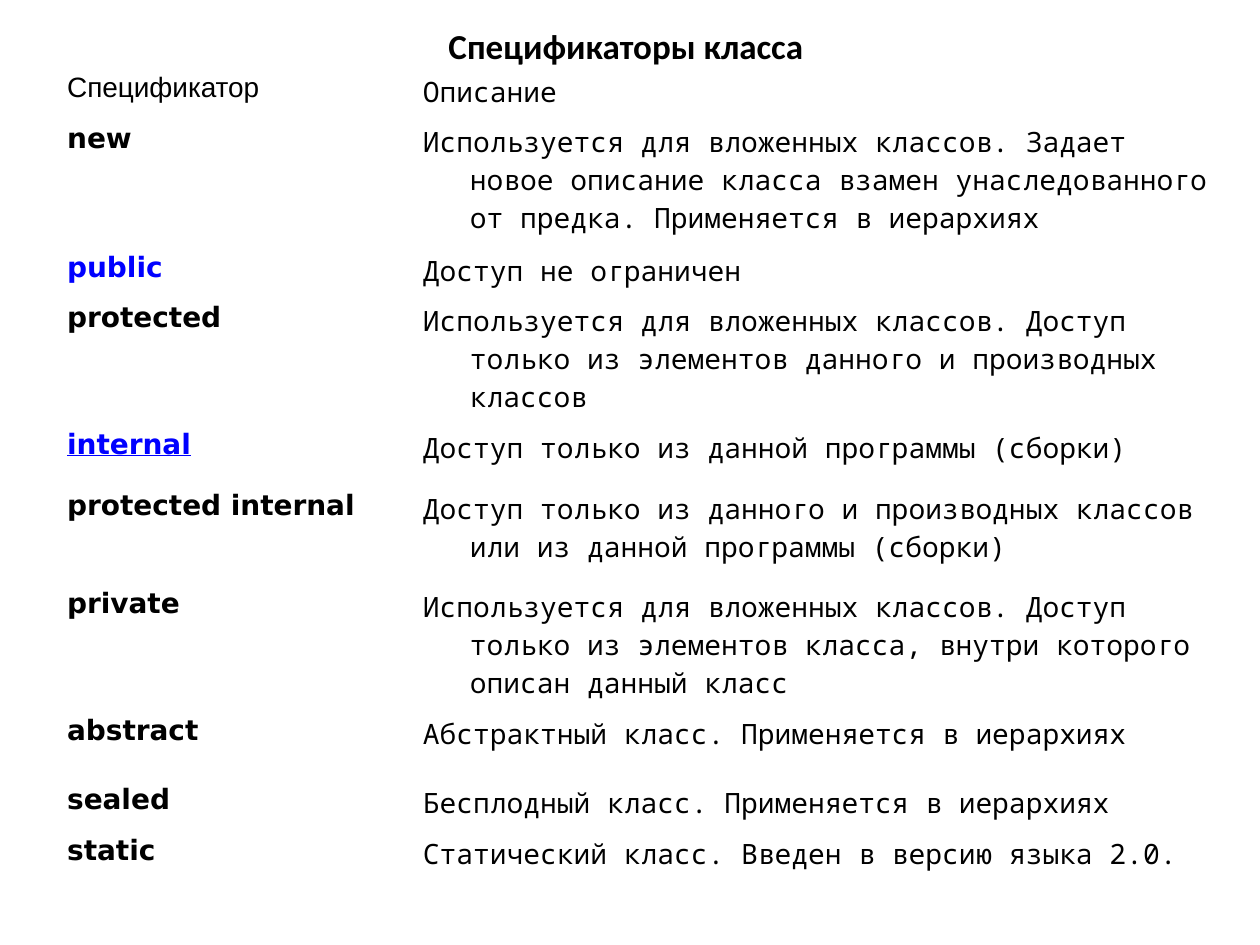
from pptx import Presentation
from pptx.dml.color import RGBColor
from pptx.enum.text import MSO_ANCHOR, PP_ALIGN
from pptx.util import Cm, Pt

CENTER = PP_ALIGN.CENTER
LEFT = PP_ALIGN.LEFT
MIDDLE = MSO_ANCHOR.MIDDLE
TOP = MSO_ANCHOR.TOP

COLORS = {"text": "000000", "accent": "0000FF"}
HEADER_FONT, KEYWORD_FONT, DESCRIPTION_FONT = "Arial", "DejaVu Sans", "Noto Sans Mono"

TITLE = "Спецификаторы класса "
HEADER = ("Спецификатор", "Описание")
HEADER_HEIGHT = 1.02

# Keyword, description, row height in cm
SPECIFIERS = [
    ("new", "Используется для вложенных классов. Задает новое описание класса "
            "взамен унаследованного от предка. Применяется в иерархиях", 2.59),
    ("public", "Доступ не ограничен", 1.02),
    ("protected", "Используется для вложенных классов. Доступ только из элементов "
                  "данного и производных классов", 2.55),
    ("internal", "Доступ только из данной программы (сборки)", 1.24),
    ("protected internal", "Доступ только из данного и производных классов "
                           "или из данной программы (сборки)", 1.98),
    ("private", "Используется для вложенных классов. Доступ только из элементов "
                "класса, внутри которого описан данный класс", 2.55),
    ("abstract", "Абстрактный класс. Применяется в иерархиях", 1.4),
    ("sealed", "Бесплодный класс. Применяется в иерархиях", 1.02),
    ("static", "Статический класс. Введен в версию языка 2.0.", 1.4),
]
KEYWORD_FORMATS = {
    "public": {"color": "accent"},
    "internal": {"color": "accent", "underline": True},
}
COLUMN_WIDTHS = (7.17, 16.37)
HANGING = 0.95


def write(frame, text, font, size=16, color="text", bold=False, underline=False,
          align=LEFT, hanging=0):
    paragraph = frame.paragraphs[0]
    paragraph.alignment = align
    if hanging:
        properties = paragraph._p.get_or_add_pPr()
        properties.set("marL", str(Cm(hanging)))
        properties.set("indent", str(-Cm(hanging)))
    run = paragraph.add_run()
    run.text = text
    run.font.name = font
    run.font.size = Pt(size)
    run.font.bold = bold
    run.font.underline = underline
    run.font.color.rgb = RGBColor.from_string(COLORS[color])


prs = Presentation()
prs.slide_width, prs.slide_height = Cm(25.4), Cm(19.05)
slide = prs.slides.add_slide(prs.slide_layouts[6])

# Title
title = slide.shapes.add_textbox(Cm(1.27), Cm(0.33), Cm(22.86), Cm(1.19)).text_frame
title.word_wrap = True
title.vertical_anchor = MIDDLE
write(title, TITLE, "Calibri", size=20, bold=True, align=CENTER)

# Plain table without header style, bands or fills
heights = [HEADER_HEIGHT] + [height for _, _, height in SPECIFIERS]
table = slide.shapes.add_table(
    len(heights), len(COLUMN_WIDTHS), Cm(1.1), Cm(1.33),
    Cm(sum(COLUMN_WIDTHS)), Cm(sum(heights))).table
table.first_row = table.horz_banding = False
for column, width in zip(table.columns, COLUMN_WIDTHS):
    column.width = Cm(width)
for row, height in zip(table.rows, heights):
    row.height = Cm(height)
for cell in table.iter_cells():
    cell.fill.background()
    cell.vertical_anchor = TOP

# Header row
for column, (text, font) in enumerate(zip(HEADER, (HEADER_FONT, DESCRIPTION_FONT))):
    write(table.cell(0, column).text_frame, text, font)

# Specifier rows
for row, (keyword, description, _) in enumerate(SPECIFIERS, start=1):
    write(table.cell(row, 0).text_frame, keyword, KEYWORD_FONT, bold=True,
          hanging=HANGING, **KEYWORD_FORMATS.get(keyword, {}))
    write(table.cell(row, 1).text_frame, description, DESCRIPTION_FONT, hanging=HANGING)

prs.save("out.pptx")
